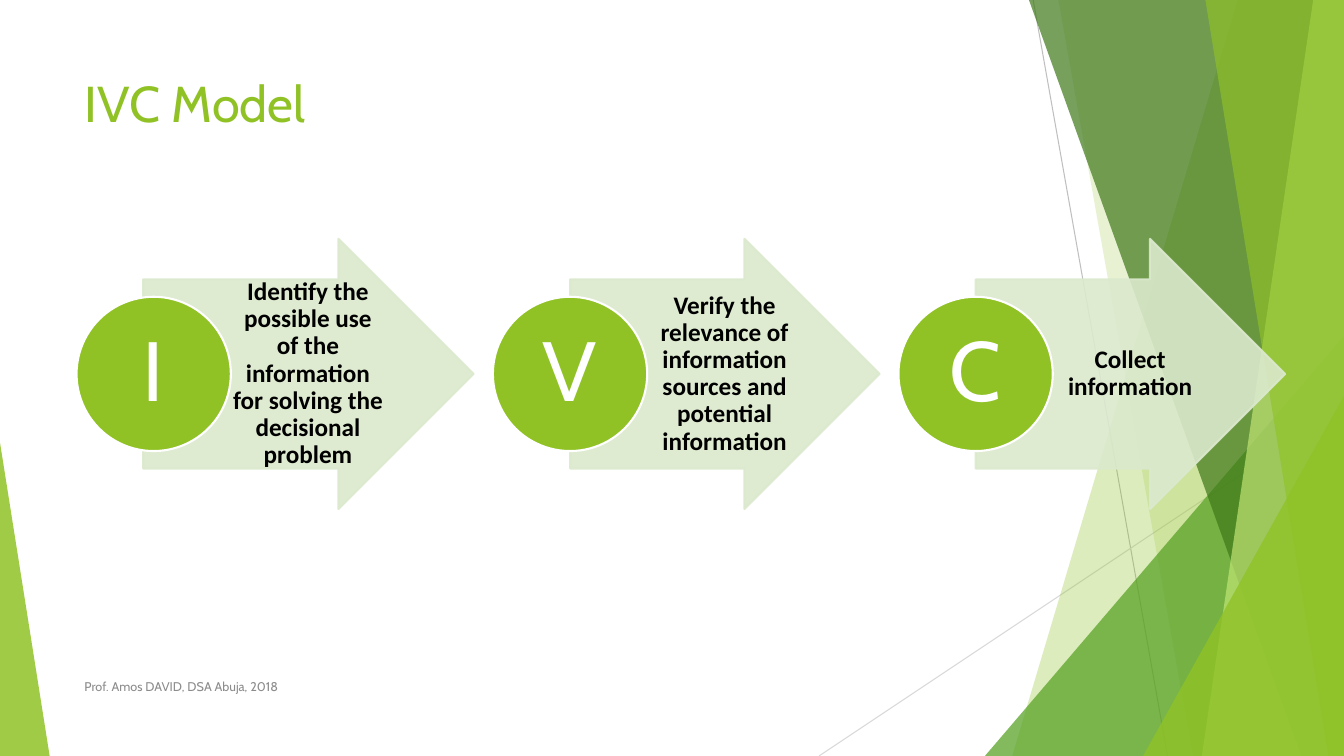
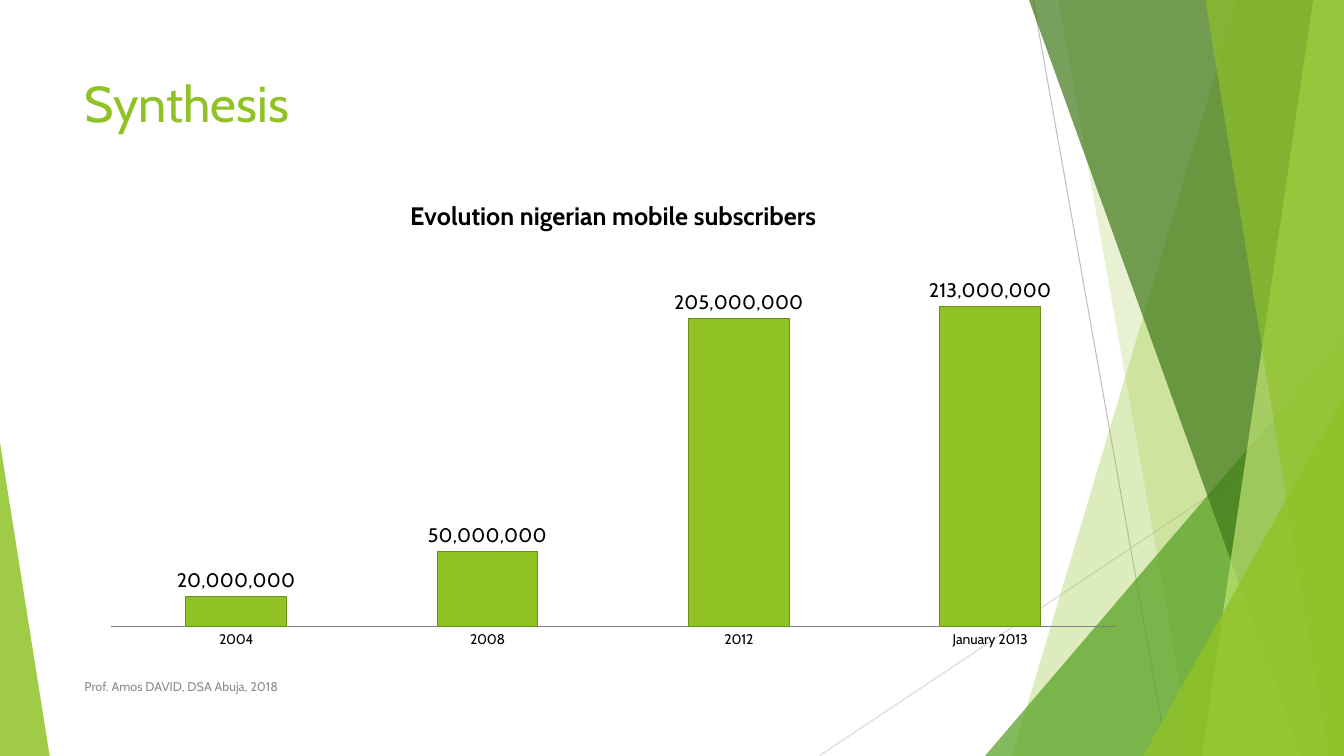
from lxml.etree import SubElement
from pptx import Presentation
from pptx.chart.data import CategoryChartData
from pptx.dml.color import RGBColor
from pptx.enum.chart import XL_CHART_TYPE, XL_LABEL_POSITION, XL_TICK_MARK
from pptx.enum.shapes import MSO_CONNECTOR, MSO_SHAPE
from pptx.enum.text import MSO_ANCHOR, MSO_AUTO_SIZE, PP_ALIGN
from pptx.oxml import parse_xml
from pptx.oxml.ns import nsdecls, qn
from pptx.util import Pt

COLORS = {
    "lime": "90C226", "green": "54A021", "forest": "3F7819", "pale": "C0E474",
    "arrow": "DBE9CD", "edge": "6A8F1C", "axis": "808080", "footer": "8C8C8C",
    "gray": "BFBFBF", "light": "D9D9D9", "black": "000000", "white": "FFFFFF",
}
FONT = "Cabin"
WIDTH, HEIGHT = 960, 540
LINES = [((738, 0), (834, HEIGHT), "gray"), ((WIDTH, 290), (585, HEIGHT), "light")]
BANDS_BACK = [(884, 723, "lime", 30), (756, 852, "lime", 20)]
BANDS_FRONT = [(735, 929.5, "forest", 70), (938, 858.5, "pale", 70), (861, 949, "lime", 65)]
TRIANGLE_BACK = [((703.5, 240, 256.5, 300), 1, "green", 72)]
TRIANGLES_FRONT = [((816.5, 283, 143.5, 257), 1, "lime", 80), ((0, 316, 35.5, 224), 0, "lime", 85)]


def color(name):
    """Return the named colour."""
    return RGBColor.from_string(COLORS[name])


def points(box):
    """Convert box numbers to lengths."""
    return [Pt(value) for value in box]


def set_alpha(fill_format, opacity):
    """Make a solid fill translucent; opacity is a percentage."""
    SubElement(fill_format.fore_color._xFill.find(qn("a:srgbClr")),
               qn("a:alpha")).set("val", str(opacity * 1000))


def paint(shape, fill, opacity=100, line=None):
    """Give a shape a flat fill and an optional outline."""
    shape.shadow.inherit = False
    shape.fill.solid()
    shape.fill.fore_color.rgb = color(fill)
    set_alpha(shape.fill, opacity)
    if line is None:
        shape.line.fill.background()
        return
    shape.line.width = Pt(1.5)
    shape.line.color.rgb = color(line)
    set_alpha(shape.line.fill, opacity)


def write(shape, text, size, name, font=FONT, bold=False, align=PP_ALIGN.LEFT,
          anchor=MSO_ANCHOR.MIDDLE, insets=(7.2, 3.6, 7.2, 3.6), spacing=1):
    """Put one styled paragraph into a shape."""
    frame = shape.text_frame
    frame.word_wrap = True
    frame.auto_size = MSO_AUTO_SIZE.NONE
    frame.vertical_anchor = anchor
    (frame.margin_left, frame.margin_top,
     frame.margin_right, frame.margin_bottom) = points(insets)
    para = frame.paragraphs[0]
    para.alignment = align
    para.line_spacing = spacing
    span = para.add_run()
    span.text = text
    span.font.name = font
    span.font.size = Pt(size)
    span.font.bold = bold
    span.font.color.rgb = color(name)


def add_line(page, start, end, name):
    """Draw a thin background line."""
    line = page.shapes.add_connector(MSO_CONNECTOR.STRAIGHT, *points(start + end))
    line.line.color.rgb = color(name)
    line.line.width = Pt(0.75)
    SubElement(line._element.spPr, qn("a:effectLst"))


def add_band(page, top, bottom, name, opacity):
    """Draw a slanted band that reaches the right edge."""
    builder = page.shapes.build_freeform(Pt(top), Pt(0))
    corners = [(WIDTH, 0), (WIDTH, HEIGHT), (bottom, HEIGHT)]
    builder.add_line_segments([points(corner) for corner in corners], close=True)
    paint(builder.convert_to_shape(), name, opacity)


def add_triangle(page, box, apex, name, opacity):
    """Draw a right triangle with its apex on one side."""
    triangle = page.shapes.add_shape(MSO_SHAPE.ISOSCELES_TRIANGLE, *points(box))
    triangle.adjustments[0] = apex
    paint(triangle, name, opacity)


def add_page(deck, title):
    """Start a slide with backdrop, title and footer."""
    page = deck.slides.add_slide(deck.slide_layouts[5])
    layers = [(add_line, LINES), (add_band, BANDS_BACK), (add_triangle, TRIANGLE_BACK),
              (add_band, BANDS_FRONT), (add_triangle, TRIANGLES_FRONT)]
    for draw, items in layers:
        for item in items:
            draw(page, *item)
    heading = page.shapes.title
    heading.left, heading.top, heading.width, heading.height = points((53.3, 48, 676.8, 104))
    write(heading, title, 36, "lime", anchor=MSO_ANCHOR.TOP)
    footer = page.shapes.add_textbox(*points((53.3, 476, 496, 28.8)))
    write(footer, "Prof. Amos DAVID, DSA Abuja, 2018", 9, "footer")
    return page


def add_step(page, box, circle_left, letter, text):
    """Draw an arrow with its text and a lettered circle at its tail."""
    left, top, width, height = box
    diameter = 110.2
    arrow = page.shapes.add_shape(MSO_SHAPE.RIGHT_ARROW, *points(box))
    arrow.adjustments[0], arrow.adjustments[1] = 0.7, 0.5
    paint(arrow, "arrow", 90, "arrow")
    label = page.shapes.add_textbox(*points(
        (left + width / 4, top + height * 0.15, width * 0.49, height * 0.7)))
    write(label, text, 18, "black", "Calibri", True, PP_ALIGN.CENTER,
          insets=(3.6, 0.9, 1.8, 0.9), spacing=0.9)
    circle = page.shapes.add_shape(MSO_SHAPE.OVAL, *points(
        (circle_left, top + (height - diameter) / 2, diameter, diameter)))
    paint(circle, "lime", line="white")
    write(circle, letter, 60, "white", align=PP_ALIGN.CENTER,
          insets=(3, 3, 3, 3), spacing=0.9)


def place_plot(chart, box):
    """Fix the inner plot area as fractions of the chart."""
    area = chart._chartSpace.chart.plotArea
    for old in area.findall(qn("c:layout")):
        area.remove(old)
    parts = "".join(f'<c:{key} val="{value}"/>' for key, value in zip("xywh", box))
    area.insert(0, parse_xml(
        f'<c:layout {nsdecls("c")}><c:manualLayout><c:layoutTarget val="inner"/>'
        f'<c:xMode val="edge"/><c:yMode val="edge"/>{parts}</c:manualLayout></c:layout>'))


def add_subscriber_chart(page, box):
    """Draw the column chart of subscribers."""
    data = CategoryChartData(number_format="#,##0")
    data.categories = ["2004", "2008", "2012", "January 2013"]
    data.add_series("Series 1", [20000000, 50000000, 205000000, 213000000])
    chart = page.shapes.add_chart(XL_CHART_TYPE.COLUMN_CLUSTERED, *points(box), data).chart
    chart.font.name = FONT
    chart.font.size = Pt(10)
    chart.font.color.rgb = color("black")
    chart.has_legend = False
    chart.has_title = True
    span = chart.chart_title.text_frame.paragraphs[0].add_run()
    span.text = "Evolution nigerian mobile subscribers"
    span.font.name = FONT
    span.font.size = Pt(18)
    span.font.bold = True
    span.font.color.rgb = color("black")

    values = chart.value_axis
    values.visible = False
    values.has_major_gridlines = False
    values.minimum_scale, values.maximum_scale = 0, 250000000
    categories = chart.category_axis
    categories.major_tick_mark = XL_TICK_MARK.NONE
    categories.format.line.color.rgb = color("axis")
    categories.format.line.width = Pt(0.75)

    plot = chart.plots[0]
    plot.gap_width = 150
    plot.vary_by_categories = False
    columns = plot.series[0].format
    columns.fill.solid()
    columns.fill.fore_color.rgb = color("lime")
    columns.line.color.rgb = color("edge")
    columns.line.width = Pt(0.75)
    plot.has_data_labels = True
    labels = plot.data_labels
    labels.show_value = True
    labels.number_format = "#,##0"
    labels.number_format_is_linked = False
    labels.position = XL_LABEL_POSITION.OUTSIDE_END
    labels.font.name = FONT
    labels.font.size = Pt(14)
    labels.font.color.rgb = color("black")
    place_plot(chart, (0.02, 0.15, 0.96, 0.79))


def build_model(deck):
    """Build the slide with the three steps."""
    page = add_page(deck, "IVC Model")
    steps = [
        (102.3, 236, 54.7, "I",
         "Identify the possible use of the information for solving the decisional problem"),
        (407.3, 221, 352.1, "V",
         "Verify the relevance of information sources and potential information"),
        (697, 221, 641.8, "C", "Collect information"),
    ]
    for left, width, circle_left, letter, text in steps:
        add_step(page, (left, 170.6, width, 193), circle_left, letter, text)


def build_synthesis(deck):
    """Build the slide with the chart."""
    page = add_page(deck, "Synthesis")
    add_subscriber_chart(page, (64, 128, 748, 340))


def main():
    """Build and save the deck."""
    deck = Presentation()
    deck.slide_width, deck.slide_height = Pt(WIDTH), Pt(HEIGHT)
    build_model(deck)
    build_synthesis(deck)
    deck.save("out.pptx")


main()
